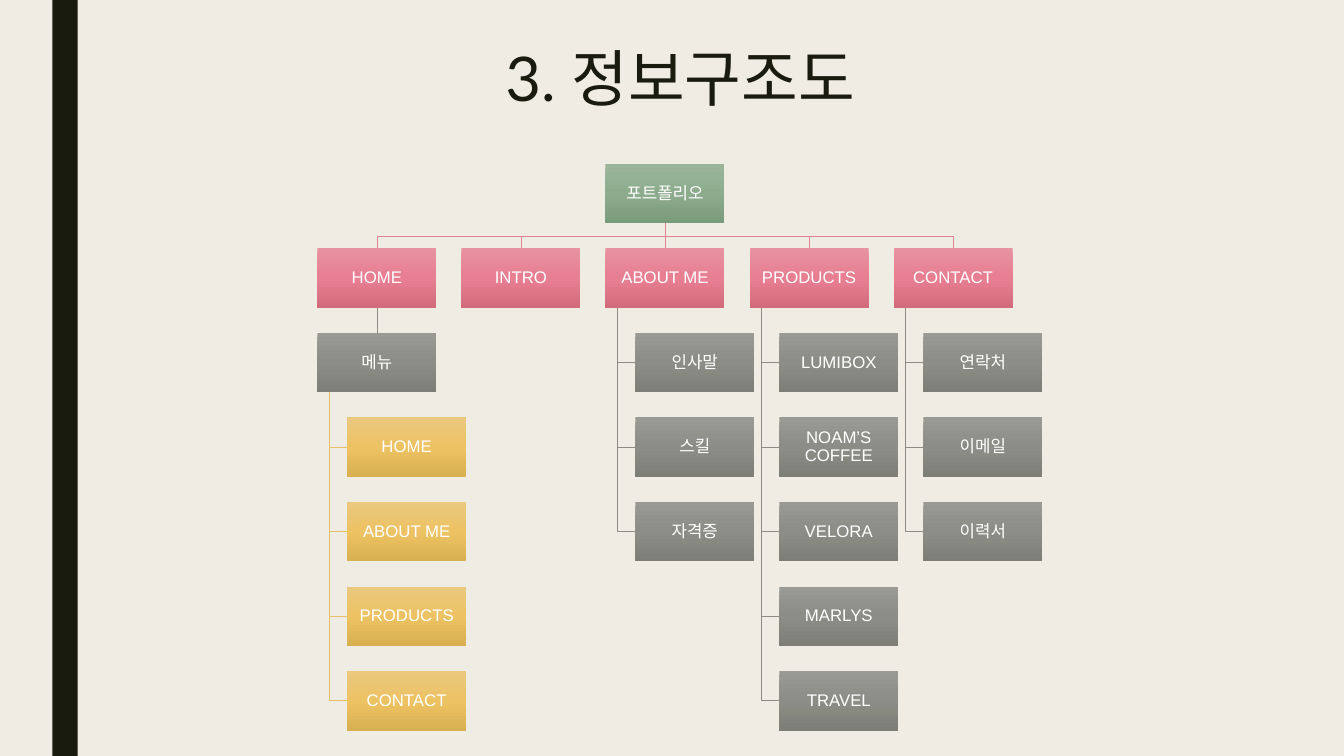
from copy import deepcopy
from dataclasses import dataclass

from lxml import etree
from pptx import Presentation
from pptx.dml.color import RGBColor
from pptx.enum import shapes, text
from pptx.oxml.ns import qn
from pptx.util import Cm, Pt

COLORS = {"paper": "EFEDE3", "ink": "191B0E", "white": "FFFFFF",
          "page": "E28394", "section": "8C8D86", "menu": "E6C069"}
GRADIENTS = {"root": ("9BB59B", "8CAC8D", "7A9B7B"),
             "page": ("E793A2", "E77E91", "D36B7D"),
             "section": ("999A94", "8C8D86", "7D7E76"),
             "menu": ("EAC87E", "ECC263", "D9B051")}
LEFT, TOP = 8.0, 4.13
BOX_W, BOX_H = 3.0, 1.5
COL_STEP, ROW_STEP = 3.63, 2.13
INDENT, TRUNK = 0.75, 0.3


@dataclass(frozen=True)
class Node:
    label: str
    kind: str
    children: tuple["Node", ...] = ()


def leaves(kind: str, *labels: str) -> tuple[Node, ...]:
    return tuple(Node(label, kind) for label in labels)


MENU = Node("메뉴", "section",
            leaves("menu", "HOME", "ABOUT ME", "PRODUCTS", "CONTACT"))
PAGES = (
    Node("HOME", "page", (MENU,)),
    Node("INTRO", "page"),
    Node("ABOUT ME", "page", leaves("section", "인사말", "스킬", "자격증")),
    Node("PRODUCTS", "page", leaves("section", "LUMIBOX", "NOAM’S COFFEE",
                                    "VELORA", "MARLYS", "TRAVEL")),
    Node("CONTACT", "page", leaves("section", "연락처", "이메일", "이력서")),
)


def rgb(name: str) -> RGBColor:
    return RGBColor.from_string(COLORS[name])


def row_top(row: int) -> float:
    return TOP + row * ROW_STEP


def add_line(slide, kind: str, *points: tuple[float, float]) -> None:
    pts = [(Cm(x), Cm(y)) for x, y in points]
    if len(pts) == 2:
        sp = slide.shapes.add_connector(
            shapes.MSO_CONNECTOR.STRAIGHT, *pts[0], *pts[1])
        etree.SubElement(sp._element.spPr, qn("a:effectLst"))
    else:
        builder = slide.shapes.build_freeform(*pts[0])
        builder.add_line_segments(pts[1:], close=False)
        sp = builder.convert_to_shape()
        sp.shadow.inherit = False
        sp.fill.background()
    sp.line.color.rgb = rgb(kind)
    sp.line.width = Pt(0.5)


def add_box(slide, node: Node, x: float, y: float) -> None:
    sp = slide.shapes.add_shape(shapes.MSO_SHAPE.RECTANGLE,
                                Cm(x), Cm(y), Cm(BOX_W), Cm(BOX_H))
    sp.shadow.inherit = False
    sp.line.fill.background()
    sp.fill.gradient()
    sp.fill.gradient_angle = 270
    stop_list = sp._element.spPr.find(".//" + qn("a:gsLst"))
    stop_list.append(deepcopy(stop_list[0]))
    for i, (stop, color) in enumerate(
            zip(sp.fill.gradient_stops, GRADIENTS[node.kind])):
        stop.position = i / 2
        stop.color.rgb = RGBColor.from_string(color)
    tf = sp.text_frame
    tf.word_wrap = True
    tf.vertical_anchor = text.MSO_ANCHOR.MIDDLE
    tf.margin_left = tf.margin_right = Cm(0.03)
    tf.margin_top = tf.margin_bottom = Cm(0.03)
    p = tf.paragraphs[0]
    p.text = node.label
    p.alignment = text.PP_ALIGN.CENTER
    p.line_spacing = 0.9
    p.font.name = "Arial"
    p.font.size = Pt(12)
    p.font.color.rgb = rgb("white")


def add_branch(slide, node: Node, x: float, row: int) -> None:
    add_box(slide, node, x, row_top(row))
    bottom = row_top(row) + BOX_H
    single = len(node.children) == 1
    for child_row, child in enumerate(node.children, row + 1):
        y = row_top(child_row)
        if single:
            center = x + BOX_W / 2
            add_line(slide, child.kind, (center, bottom), (center, y))
            add_branch(slide, child, x, child_row)
        else:
            trunk, middle = x + TRUNK, y + BOX_H / 2
            add_line(slide, child.kind, (trunk, bottom), (trunk, middle),
                     (x + INDENT, middle))
            add_branch(slide, child, x + INDENT, child_row)


def add_site_map(slide) -> None:
    root_x = LEFT + len(PAGES) // 2 * COL_STEP
    root_center = root_x + BOX_W / 2
    bottom, page_top = row_top(0) + BOX_H, row_top(1)
    bus = (bottom + page_top) / 2
    add_box(slide, Node("포트폴리오", "root"), root_x, row_top(0))
    for col, page in enumerate(PAGES):
        x = LEFT + col * COL_STEP
        center = x + BOX_W / 2
        bend = () if x == root_x else ((root_center, bus), (center, bus))
        add_line(slide, page.kind, (root_center, bottom), *bend,
                 (center, page_top))
        add_branch(slide, page, x, 1)


def add_title(slide) -> None:
    title = slide.shapes.title
    title.left, title.top = Cm(3.81), Cm(0)
    title.width, title.height = Cm(26.67), Cm(4.11)
    tf = title.text_frame
    tf.auto_size = text.MSO_AUTO_SIZE.NONE
    tf.vertical_anchor = text.MSO_ANCHOR.MIDDLE
    p = tf.paragraphs[0]
    p.text = "3. 정보구조도"
    p.alignment = text.PP_ALIGN.CENTER
    p.line_spacing = 0.89
    p.font.name = "Lato"
    p.font.size = Pt(44)
    p.font.color.rgb = rgb("ink")


def main() -> None:
    prs = Presentation()
    prs.slide_width, prs.slide_height = Cm(33.87), Cm(19.05)
    slide = prs.slides.add_slide(prs.slide_layouts[5])
    slide.background.fill.solid()
    slide.background.fill.fore_color.rgb = rgb("paper")
    band = slide.shapes.add_shape(shapes.MSO_SHAPE.RECTANGLE, Cm(1.32), Cm(0),
                                  Cm(0.64), prs.slide_height)
    band.shadow.inherit = False
    band.fill.solid()
    band.fill.fore_color.rgb = rgb("ink")
    band.line.fill.background()
    add_title(slide)
    add_site_map(slide)
    prs.save("out.pptx")


if __name__ == "__main__":
    main()
